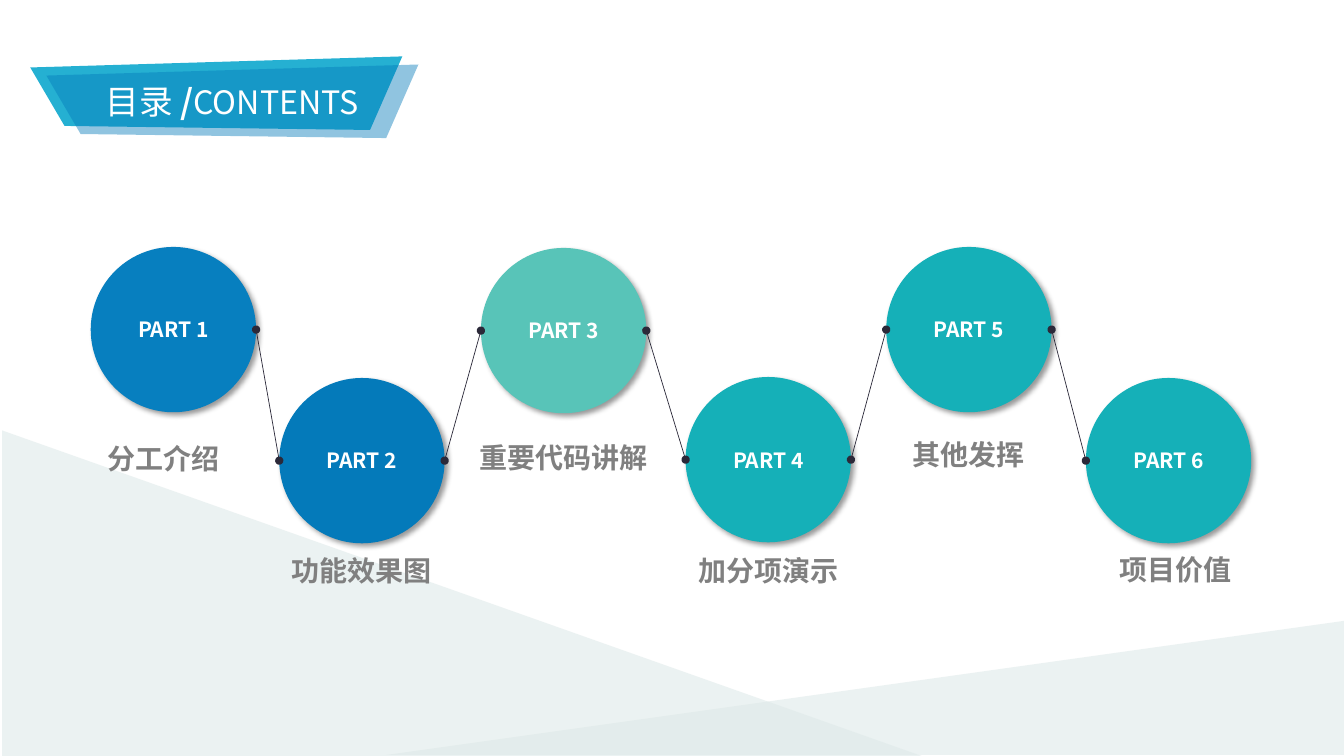
from itertools import pairwise
from pptx import Presentation
from pptx.dml.color import RGBColor
from pptx.enum.shapes import MSO_CONNECTOR, MSO_SHAPE
from pptx.enum.text import MSO_ANCHOR, PP_ALIGN
from pptx.oxml import parse_xml
from pptx.oxml.ns import nsdecls, qn
from pptx.util import Inches, Pt

FONT = "Noto Sans CJK SC"
WHITE = RGBColor(0xFF, 0xFF, 0xFF)
MIST = RGBColor(0xDD, 0xE9, 0xE8)
SKY = RGBColor(0x25, 0xB0, 0xD2)
BLUE = RGBColor(0x04, 0x7A, 0xBA)
LIGHT_BLUE = RGBColor(0x07, 0x7F, 0xBF)
MINT = RGBColor(0x58, 0xC4, 0xB8)
TEAL = RGBColor(0x15, 0xB0, 0xB8)
DARK = RGBColor(0x2B, 0x29, 0x39)
GRAY = RGBColor(0x80, 0x80, 0x80)

DIAMETER = 1.64
PARTS = [
    (0.9, 2.45, LIGHT_BLUE, "分工介绍", 1.62, 4.38),
    (2.77, 3.75, BLUE, "功能效果图", 3.59, 5.49),
    (4.77, 2.46, MINT, "重要代码讲解", 5.59, 4.37),
    (6.8, 3.74, TEAL, "加分项演示", 7.62, 5.49),
    (8.79, 2.45, TEAL, "其他发挥", 9.61, 4.34),
    (10.77, 3.75, TEAL, "项目价值", 11.66, 5.48),
]


def paint(s, color, alpha=None):
    s.shadow.inherit = False
    s.fill.solid()
    s.fill.fore_color.rgb = color
    s.line.fill.background()
    if alpha:
        clr = s._element.spPr.find(qn("a:solidFill"))[0]
        clr.append(parse_xml(f'<a:alpha {nsdecls("a")} val="{alpha * 1000}"/>'))


def add_run(p, text, size, color, bold=False):
    r = p.add_run()
    r.text = text
    r.font.size = Pt(size)
    r.font.bold = bold
    r.font.name = FONT
    r.font.color.rgb = color
    r.font._element.append(parse_xml(f'<a:ea {nsdecls("a")} typeface="{FONT}"/>'))


def centered(tf, margin_x, margin_y):
    tf.margin_left = tf.margin_right = Inches(margin_x)
    tf.margin_top = tf.margin_bottom = Inches(margin_y)
    p = tf.paragraphs[0]
    p.alignment = PP_ALIGN.CENTER
    return p


def add_hill(slide, x, y, w, h, flip=False):
    s = slide.shapes.add_shape(
        MSO_SHAPE.RIGHT_TRIANGLE, Inches(x), Inches(y), Inches(w), Inches(h))
    paint(s, MIST, 56)
    if flip:
        s._element.spPr.xfrm.set("flipH", "1")


def add_ribbon(slide, x, y, color, alpha=None):
    corners = [(0, 0.11), (0.34, 0.69), (3.37, 0.73), (3.69, 0)]
    points = [(Inches(x + dx), Inches(y + dy)) for dx, dy in corners]
    outline = slide.shapes.build_freeform(*points[0])
    outline.add_line_segments(points[1:], close=True)
    s = outline.convert_to_shape()
    paint(s, color, alpha)
    return s


def add_title(slide, x, y):
    add_ribbon(slide, x, y, SKY)
    tf = add_ribbon(slide, x + 0.16, y + 0.08, BLUE, 44).text_frame
    tf.vertical_anchor = MSO_ANCHOR.MIDDLE
    p = centered(tf, 0.1, 0.05)
    add_run(p, "目录 ", 24, WHITE)
    add_run(p, "/", 24, WHITE, True)
    add_run(p, "CONTENTS", 23, WHITE)


def add_circle(slide, x, y, color, text):
    s = slide.shapes.add_shape(
        MSO_SHAPE.OVAL, Inches(x), Inches(y), Inches(DIAMETER), Inches(DIAMETER))
    paint(s, color)
    s._element.spPr.find(qn("a:effectLst")).append(parse_xml(
        f'<a:outerShdw {nsdecls("a")} blurRad="{Pt(4)}" dist="{Pt(3)}" '
        f'dir="{45 * 60000}" algn="tl" rotWithShape="0">'
        '<a:srgbClr val="000000"><a:alpha val="40000"/></a:srgbClr></a:outerShdw>'))
    s.text_frame.vertical_anchor = MSO_ANCHOR.MIDDLE
    add_run(centered(s.text_frame, 0.07, 0.04), text, 15, WHITE, True)


def add_label(slide, center, y, text, width=2):
    s = slide.shapes.add_textbox(
        Inches(center - width / 2), Inches(y), Inches(width), Inches(0.34))
    s.text_frame.word_wrap = True
    add_run(centered(s.text_frame, 0, 0), text, 20, GRAY, True)


def add_link(slide, left_part, right_part):
    radius = DIAMETER / 2
    s = slide.shapes.add_connector(
        MSO_CONNECTOR.STRAIGHT,
        Inches(left_part[0] + DIAMETER), Inches(left_part[1] + radius),
        Inches(right_part[0]), Inches(right_part[1] + radius))
    s.line.color.rgb = DARK
    s.line.width = Pt(0.5)
    for end in ("headEnd", "tailEnd"):
        s.line._get_or_add_ln().append(
            parse_xml(f'<a:{end} {nsdecls("a")} type="oval"/>'))
    s._element.spPr.append(parse_xml(f'<a:effectLst {nsdecls("a")}/>'))


def add_parts(slide):
    for number, (x, y, color, label, center, label_y) in enumerate(PARTS, 1):
        add_circle(slide, x, y, color, f"PART {number}")
        add_label(slide, center, label_y, label)
    for left_part, right_part in pairwise(PARTS):
        add_link(slide, left_part, right_part)


def main():
    prs = Presentation()
    prs.slide_width, prs.slide_height = Inches(13.33), Inches(7.5)
    slide = prs.slides.add_slide(prs.slide_layouts[6])
    add_hill(slide, 3.83, 6.15, 9.57, 1.34, flip=True)
    add_hill(slide, 0.02, 4.27, 9.12, 3.23)
    add_title(slide, 0.3, 0.56)
    add_parts(slide)
    prs.save("out.pptx")


if __name__ == "__main__":
    main()
